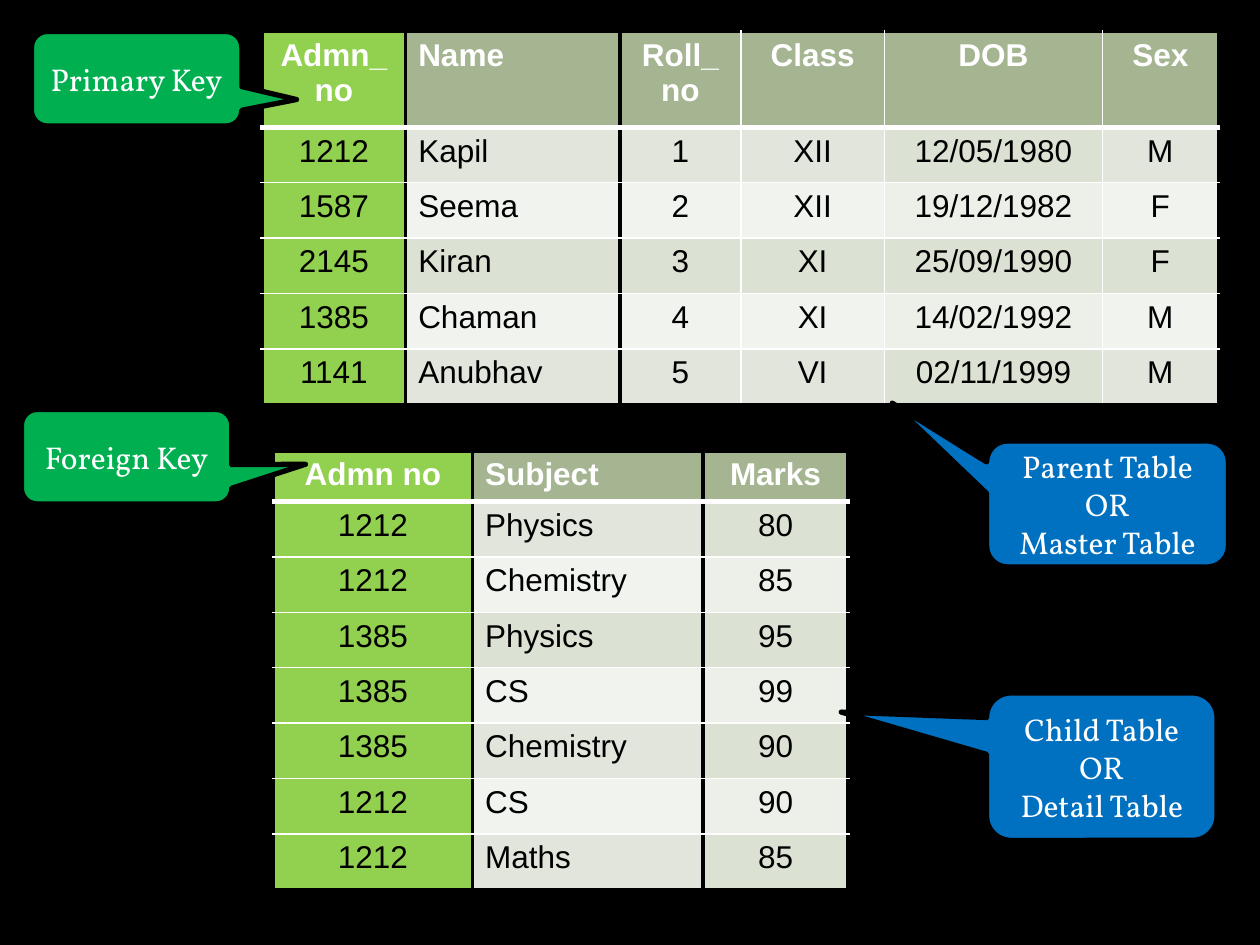
from dataclasses import dataclass

from lxml.etree import SubElement
from pptx import Presentation
from pptx.dml.color import RGBColor
from pptx.enum.shapes import MSO_SHAPE
from pptx.enum.text import MSO_ANCHOR, PP_ALIGN
from pptx.oxml.ns import qn
from pptx.util import Inches, Pt


@dataclass(frozen=True)
class Theme:
    black: str = "000000"
    white: str = "FFFFFF"
    key_column: str = "92D050"
    header: str = "A5B592"
    band: str = "E1E5DC"
    band_strong: str = "DBE1D3"
    light: str = "F0F3EE"
    light_strong: str = "EDF0E9"
    key_callout: str = "00B050"
    table_callout: str = "0070C0"
    table_font: str = "Arial"
    callout_font: str = "Vollkorn"
    size: int = 18
    thin: float = 1
    frame: float = 2.25
    rule: float = 3


def rgb(color):
    return RGBColor.from_string(color)


class Deck:
    def __init__(self, theme):
        self.theme = theme
        self.prs = Presentation()
        self.prs.slide_width, self.prs.slide_height = Inches(10), Inches(7.5)
        self.s = self.prs.slides.add_slide(self.prs.slide_layouts[6])
        fill = self.s.background.fill
        fill.solid()
        fill.fore_color.rgb = rgb(theme.black)

    def style(self, p, font, color, align=PP_ALIGN.CENTER, bold=False):
        p.alignment = align
        p.font.name, p.font.size, p.font.bold = font, Pt(self.theme.size), bold
        p.font.color.rgb = rgb(color)

    def border(self, cell, side, color, width):
        ln = SubElement(cell._tc.get_or_add_tcPr(), qn(f"a:ln{side}"), w=str(Pt(width)))
        fill = SubElement(ln, qn("a:solidFill"))
        SubElement(fill, qn("a:srgbClr"), val=color)

    def cell_fill(self, row, col, strong_col):
        """Rows alternate; the third data row and one column are a shade stronger."""
        t = self.theme
        if col == 0:
            return t.key_column
        if row == 0:
            return t.header
        if row % 2:
            return t.band_strong if row == 3 or col == strong_col else t.band
        return t.light_strong if col == strong_col else t.light

    def cell_borders(self, cell, row, col, last_row, last_col):
        t = self.theme
        frame, thin, rule = (t.black, t.frame), (t.white, t.thin), (t.white, t.rule)
        self.border(cell, "L", *(frame if col <= 2 else thin))
        self.border(cell, "R", *(frame if col <= 1 or col == last_col else thin))
        self.border(cell, "T", *(frame if row == 0 else rule if row == 1 else thin))
        self.border(cell, "B", *(rule if row == 0 else frame if row == last_row else thin))

    def table(self, left, top, widths, header_height, row_height, rows, strong_col):
        t = self.theme
        heights = [header_height] + [row_height] * (len(rows) - 1)
        tbl = self.s.shapes.add_table(
            len(rows), len(widths), Inches(left), Inches(top),
            Inches(sum(widths)), Inches(sum(heights))).table
        tbl.horz_banding = False
        for column, width in zip(tbl.columns, widths):
            column.width = Inches(width)
        for table_row, height in zip(tbl.rows, heights):
            table_row.height = Inches(height)
        for i, values in enumerate(rows):
            for j, value in enumerate(values):
                cell = tbl.cell(i, j)
                cell.text = value
                self.style(cell.text_frame.paragraphs[0], t.table_font,
                           t.black if i else t.white,
                           PP_ALIGN.LEFT if j == 1 else PP_ALIGN.CENTER, i == 0)
                self.cell_borders(cell, i, j, len(rows) - 1, len(widths) - 1)
                cell.fill.solid()
                cell.fill.fore_color.rgb = rgb(self.cell_fill(i, j, strong_col))

    def callout(self, left, top, width, height, tip, color, lines):
        """Tip is the pointer's offset from the centre, as a share of the size."""
        t = self.theme
        sp = self.s.shapes.add_shape(
            MSO_SHAPE.ROUNDED_RECTANGULAR_CALLOUT,
            Inches(left), Inches(top), Inches(width), Inches(height))
        sp.adjustments[0], sp.adjustments[1] = tip
        sp.shadow.inherit = False
        sp.fill.solid()
        sp.fill.fore_color.rgb = rgb(color)
        sp.line.color.rgb = rgb(t.black)
        sp.line.width = Pt(t.rule)
        tf = sp.text_frame
        tf.word_wrap = True
        tf.vertical_anchor = MSO_ANCHOR.MIDDLE
        tf.text = "\n".join(lines)
        for p in tf.paragraphs:
            self.style(p, t.callout_font, t.white)


STUDENTS = [
    ("Admn_no", "Name", "Roll_no", "Class", "DOB", "Sex"),
    ("1212", "Kapil", "1", "XII", "12/05/1980", "M"),
    ("1587", "Seema", "2", "XII", "19/12/1982", "F"),
    ("2145", "Kiran", "3", "XI", "25/09/1990", "F"),
    ("1385", "Chaman", "4", "XI", "14/02/1992", "M"),
    ("1141", "Anubhav", "5", "VI", "02/11/1999", "M"),
]
MARKS = [
    ("Admn no", "Subject", "Marks"),
    ("1212", "Physics", "80"),
    ("1212", "Chemistry", "85"),
    ("1385", "Physics", "95"),
    ("1385", "CS", "99"),
    ("1385", "Chemistry", "90"),
    ("1212", "CS", "90"),
    ("1212", "Maths", "85"),
]


def main():
    theme = Theme()
    deck = Deck(theme)
    deck.table(2.08, 0.25, [1.14, 1.7, 0.96, 1.14, 1.73, 0.92], 0.76, 0.44,
               STUDENTS, strong_col=4)
    deck.callout(0.25, 0.25, 1.67, 0.75, (0.76, 0.22), theme.key_callout, ["Primary Key"])
    deck.table(2.17, 3.58, [1.58, 1.83, 1.15], 0.4, 0.44, MARKS, strong_col=2)
    deck.callout(0.17, 3.25, 1.67, 0.75, (0.85, 0.08), theme.key_callout, ["Foreign Key"])
    deck.callout(7.83, 3.5, 1.92, 1, (-0.89, -0.8), theme.table_callout,
                 ["Parent Table", "OR", "Master Table"])
    deck.callout(7.83, 5.5, 1.83, 1.17, (-1.13, -0.37), theme.table_callout,
                 ["Child Table", "OR", "Detail Table"])
    deck.prs.save("out.pptx")


if __name__ == "__main__":
    main()
